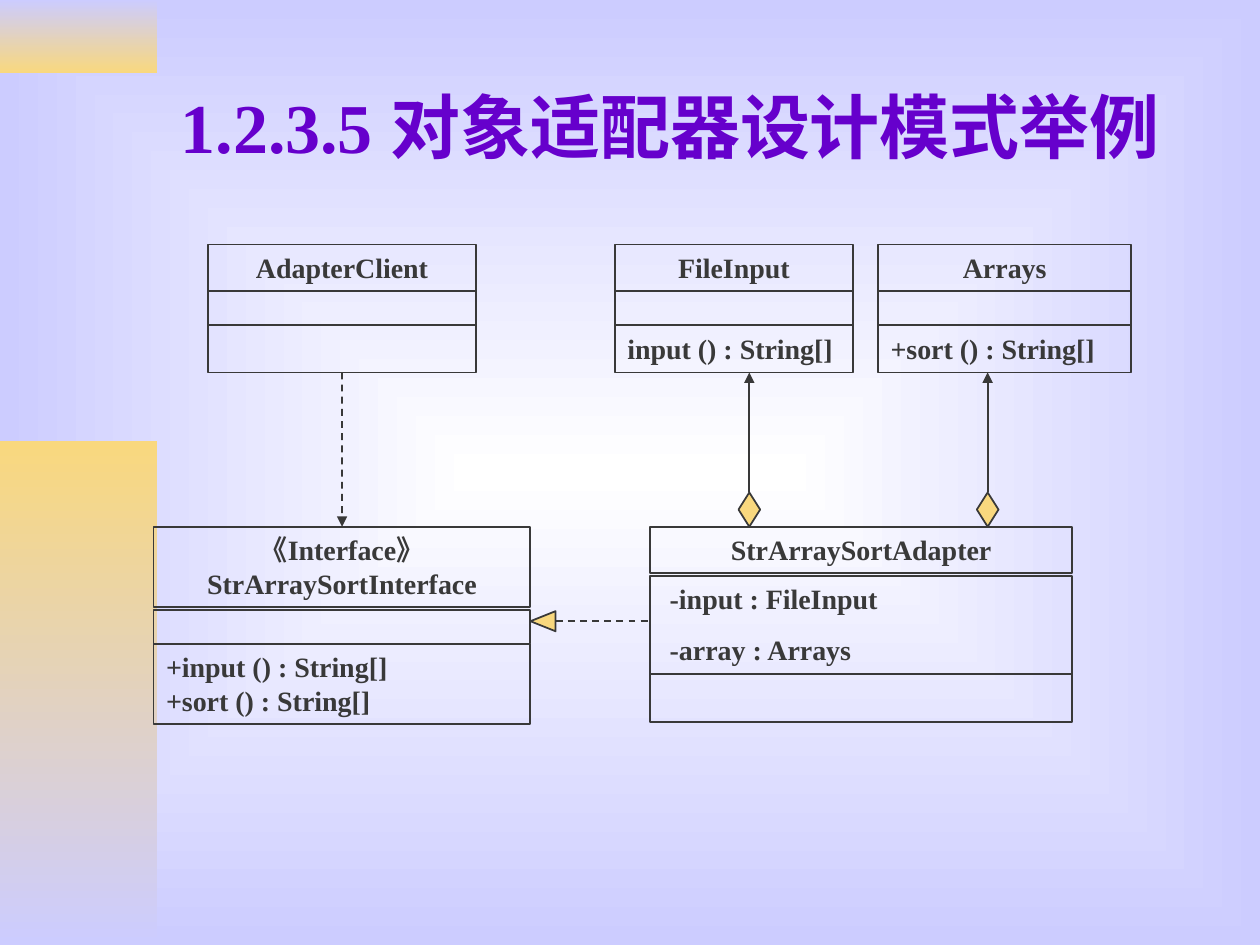
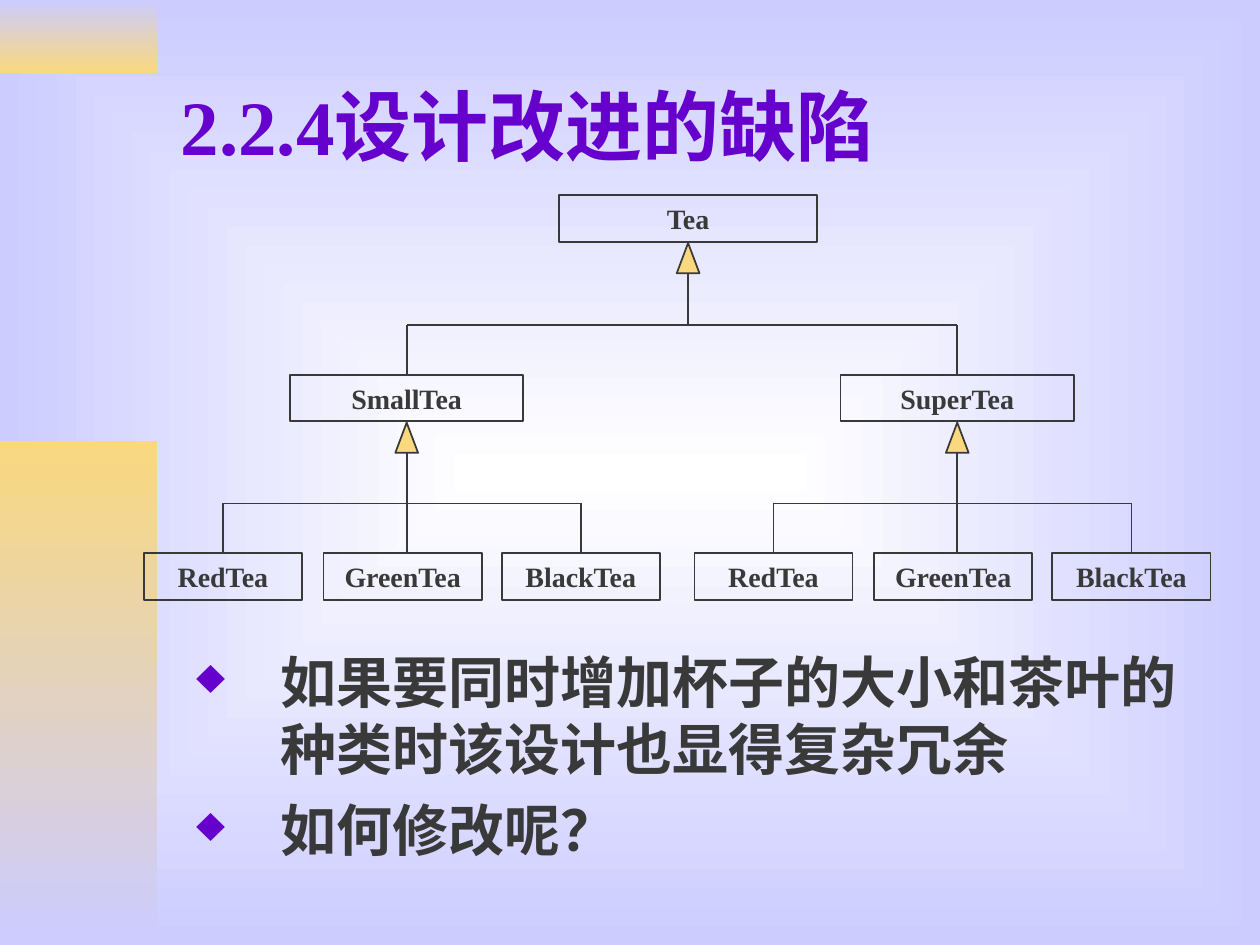
from dataclasses import dataclass

from lxml.etree import SubElement
from pptx import Presentation
from pptx.dml.color import RGBColor
from pptx.enum.dml import MSO_LINE
from pptx.enum.shapes import MSO_CONNECTOR, MSO_SHAPE
from pptx.enum.text import MSO_ANCHOR, PP_ALIGN
from pptx.oxml.ns import qn
from pptx.util import Pt

TITLE_ONLY = 5
TOP, BOTTOM = 0, 2


@dataclass(frozen=True)
class Theme:
    font: str = "Times New Roman"
    ink: str = "393939"
    accent: str = "6600CC"
    gold: str = "F9D87E"
    lavender: str = "CCCCFF"
    white: str = "FFFFFF"
    label_size: float = 16
    body_size: float = 32
    line_width: float = 1


def color(value):
    return RGBColor.from_string(value)


def center_x(shape):
    return (shape.left + shape.width / 2) / Pt(1)


def bottom(shape):
    return (shape.top + shape.height) / Pt(1)


class Deck:
    HEADER = 26.6
    EMPTY = 19.4
    TWO_LINES = 46

    def __init__(self, theme):
        self.theme = theme
        self.presentation = Presentation()
        self.presentation.slide_width = Pt(720)
        self.presentation.slide_height = Pt(540)
        self.slide = None
        self.style_background()

    def gradient(self, fill, first, last):
        fill.gradient()
        for stop, value in zip(fill.gradient_stops, (first, last)):
            stop.color.rgb = color(value)

    def style_background(self):
        """Give the master a gradient that spreads from the centre."""
        master = self.presentation.slide_master
        self.gradient(master.background.fill, self.theme.white, self.theme.lavender)
        gradient = master.element.xpath(".//p:bg//a:gradFill")[0]
        for linear in gradient.findall(qn("a:lin")):
            gradient.remove(linear)
        spread = SubElement(gradient, qn("a:path"), path="rect")
        SubElement(spread, qn("a:fillToRect"), l="50000", t="50000", r="50000", b="50000")

    def add_master_bands(self):
        """Draw the side bands on the current slide, then move them to the master."""
        tree = self.presentation.slide_master.shapes.element
        bands = ((0, 41.8, self.theme.lavender, self.theme.gold),
                 (252, 288, self.theme.gold, self.theme.lavender))
        for number, (top, height, first, last) in enumerate(bands):
            band = self.shape(MSO_SHAPE.RECTANGLE, 0, top, 90, height)
            self.gradient(band.fill, first, last)
            band.fill.gradient_angle = 270
            band.line.fill.background()
            band.element.xpath("p:nvSpPr/p:cNvPr")[0].set("id", str(101 + number))
            tree.insert(2 + number, band.element)

    def new_slide(self, title, size):
        layout = self.presentation.slide_layouts[TITLE_ONLY]
        self.slide = self.presentation.slides.add_slide(layout)
        shape = self.slide.shapes.title
        shape.left, shape.top, shape.width, shape.height = Pt(96), Pt(24), Pt(612), Pt(95)
        frame = shape.text_frame
        frame.text = title
        frame.vertical_anchor = MSO_ANCHOR.MIDDLE
        frame.paragraphs[0].alignment = PP_ALIGN.LEFT
        self.style_text(frame.paragraphs[0], size, self.theme.accent)

    def style_text(self, paragraph, size, value):
        font = paragraph.font
        font.name, font.size, font.bold = self.theme.font, Pt(size), True
        font.color.rgb = color(value)

    def shape(self, kind, left, top, width, height, fill=None):
        shape = self.slide.shapes.add_shape(kind, Pt(left), Pt(top), Pt(width), Pt(height))
        shape.shadow.inherit = False
        if fill:
            shape.fill.solid()
            shape.fill.fore_color.rgb = color(fill)
        else:
            shape.fill.background()
        shape.line.color.rgb = color(self.theme.ink)
        shape.line.width = Pt(self.theme.line_width)
        return shape

    def box(self, left, top, width, height, text="", align=PP_ALIGN.CENTER, margin=7.2):
        box = self.shape(MSO_SHAPE.RECTANGLE, left, top, width, height)
        if text:
            frame = box.text_frame
            frame.text = text
            frame.word_wrap = True
            frame.vertical_anchor = MSO_ANCHOR.TOP
            frame.margin_left = Pt(margin)
            for paragraph in frame.paragraphs:
                paragraph.alignment = align
                paragraph.space_before = Pt(10)
                self.style_text(paragraph, self.theme.label_size, self.theme.ink)
        return box

    def class_box(self, left, top, width, header, *sections, header_gap=0, margin=7.2):
        """Stack a centred header and left-aligned sections, each (height, text)."""
        height, text = header
        boxes = [self.box(left, top, width, height, text)]
        top += height + header_gap
        for height, text in sections:
            boxes.append(self.box(left, top, width, height, text, PP_ALIGN.LEFT, margin))
            top += height
        return boxes

    def line(self, x1, y1, x2, y2, dashed=False, arrow=False):
        connector = self.slide.shapes.add_connector(
            MSO_CONNECTOR.STRAIGHT, Pt(x1), Pt(y1), Pt(x2), Pt(y2))
        connector.line.color.rgb = color(self.theme.ink)
        connector.line.width = Pt(self.theme.line_width)
        if dashed:
            connector.line.dash_style = MSO_LINE.DASH
        properties = connector.element.xpath("p:spPr")[0]
        if arrow:
            SubElement(properties.find(qn("a:ln")), qn("a:tailEnd"), type="triangle")
        SubElement(properties, qn("a:effectLst"))
        return connector

    def dependency(self, source, target):
        connector = self.line(center_x(source), bottom(source),
                              center_x(target), target.top.pt, dashed=True, arrow=True)
        connector.begin_connect(source, BOTTOM)
        connector.end_connect(target, TOP)

    def aggregation(self, x, part, whole):
        """Run an arrow up to the part from a diamond standing on the whole."""
        width, height = 12.4, 19.6
        top = whole.top.pt - height
        diamond = self.shape(MSO_SHAPE.DIAMOND, x - width / 2, top, width, height,
                             self.theme.gold)
        connector = self.line(x, top, x, bottom(part), arrow=True)
        connector.begin_connect(diamond, TOP)

    def realization(self, source, target, y):
        """Run a dashed line left to a hollow head on the target's right side."""
        width, height = 11.5, 14.4
        tip = (target.left + target.width) / Pt(1)
        head = self.shape(MSO_SHAPE.FLOWCHART_EXTRACT, tip + (height - width) / 2,
                          y - height / 2, width, height, self.theme.gold)
        head.rotation = 270
        self.line(tip + height, y, source.left.pt, y, dashed=True)

    def generalization(self, parent, children):
        """Join children to their parent; a middle child hangs on the stem."""
        width, height = 13, 17.3
        x, top = center_x(parent), bottom(parent) + 0.7
        child_top = children[0].top.pt
        rail = child_top - 28.5
        self.shape(MSO_SHAPE.ISOSCELES_TRIANGLE, x - width / 2, top, width, height,
                   self.theme.gold)
        self.line(x, top + height, x, child_top if len(children) % 2 else rail)
        outer = children[0], children[-1]
        first_x, last_x = map(center_x, outer)
        self.line(first_x, rail, last_x, rail)
        for child in outer:
            drop = self.line(center_x(child), rail, center_x(child), child_top)
            drop.end_connect(child, TOP)

    def bullets(self, left, top, width, height, items):
        text_box = self.slide.shapes.add_textbox(Pt(left), Pt(top), Pt(width), Pt(height))
        frame = text_box.text_frame
        frame.word_wrap = True
        frame.text = "\n".join(items)
        indent = Pt(48.2)
        for paragraph in frame.paragraphs:
            paragraph.space_before = Pt(8)
            properties = paragraph._p.get_or_add_pPr()
            properties.set("marL", str(indent))
            properties.set("indent", str(-indent))
            bullet_color = SubElement(properties, qn("a:buClr"))
            SubElement(bullet_color, qn("a:srgbClr"), val=self.theme.accent)
            SubElement(properties, qn("a:buSzPct"), val="90000")
            SubElement(properties, qn("a:buChar"), char="♦")
            self.style_text(paragraph, self.theme.body_size, self.theme.ink)


def add_adapter_slide(deck):
    deck.new_slide("1.2.3.5 对象适配器设计模式举例", 40)
    deck.add_master_bands()
    header, empty, two_lines = deck.HEADER, deck.EMPTY, deck.TWO_LINES
    upper, lower = 139.8, 301

    suppliers = ((118.8, 153.4, "AdapterClient", ""),
                 (351.4, 136, "FileInput", "input () : String[]"),
                 (501.8, 144.7, "Arrays", "+sort () : String[]"))
    client, file_input, arrays = [
        deck.class_box(left, upper, width, (header, name), (empty, ""), (27, method))
        for left, width, name, method in suppliers]
    interface = deck.class_box(
        87.8, lower, 215.3, (two_lines, "《Interface》\vStrArraySortInterface"),
        (empty, ""), (two_lines, "+input () : String[]\v+sort () : String[]"),
        header_gap=1.4)
    adapter = deck.class_box(
        371.5, lower, 241.2, (header, "StrArraySortAdapter"),
        (56, "-input : FileInput\n-array : Arrays"), (27.4, ""),
        header_gap=1.4, margin=11.2)

    deck.dependency(client[-1], interface[0])
    deck.aggregation(428.2, file_input[-1], adapter[0])
    deck.aggregation(564.4, arrays[-1], adapter[0])
    deck.realization(adapter[1], interface[1], 355)


def add_tea_slide(deck):
    deck.new_slide("2.2.4设计改进的缺陷", 44)

    def tea_box(middle, top, width, name):
        return deck.box(middle - width / 2, top, width, deck.HEADER, name)

    tea = tea_box(393.2, 111.6, 147.6, "Tea")
    sizes = [tea_box(middle, 214.2, 133.4, name)
             for middle, name in ((232.4, "SmallTea"), (547, "SuperTea"))]
    deck.generalization(tea, sizes)
    for size in sizes:
        kinds = [tea_box(center_x(size) + offset, 316.2, 90.4, name)
                 for offset, name in ((-105, "RedTea"), (-2.3, "GreenTea"),
                                      (99.5, "BlackTea"))]
        deck.generalization(size, kinds)

    deck.bullets(105.1, 366.5, 578.2, 130.3, (
        "如果要同时增加杯子的大小和茶叶的种类时该设计也显得复杂冗余",
        "如何修改呢？"))


def main():
    deck = Deck(Theme())
    add_adapter_slide(deck)
    add_tea_slide(deck)
    deck.presentation.save("out.pptx")


if __name__ == "__main__":
    main()
